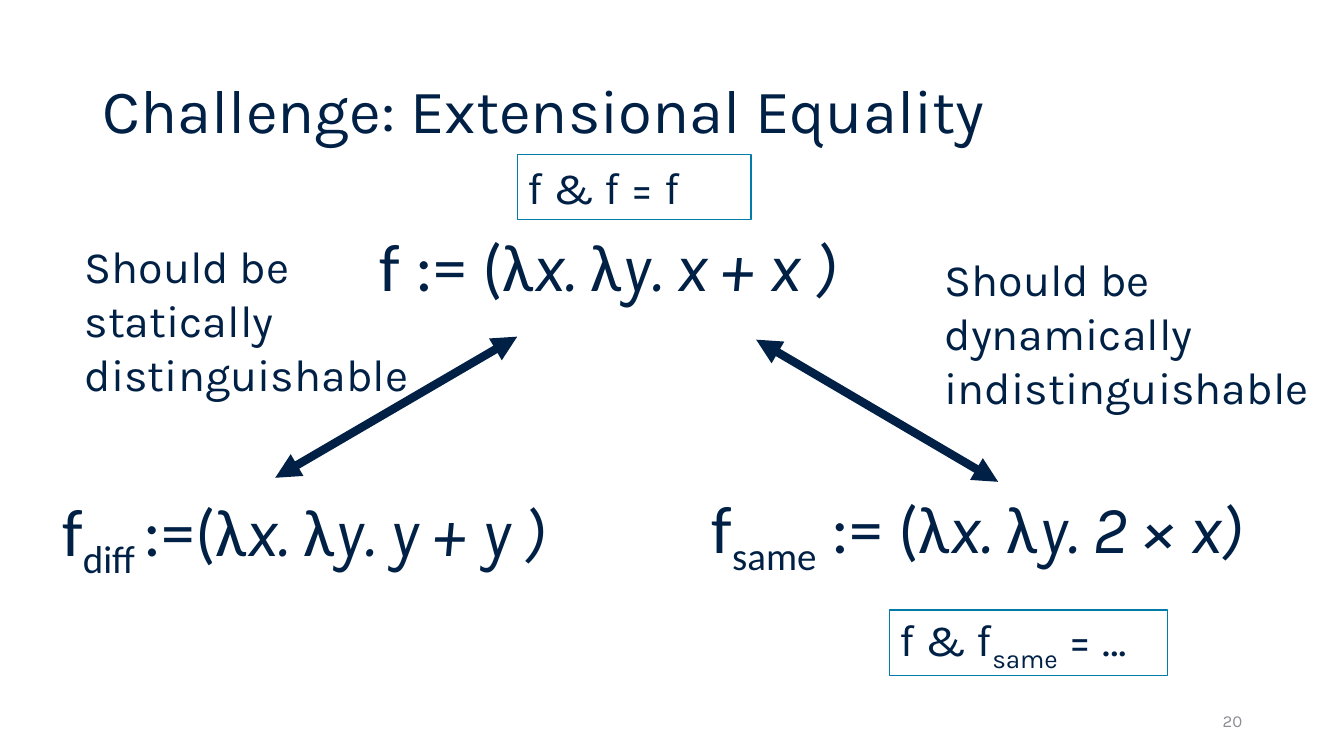
import pptx
import pptx.util
import pptx.dml.color
import pptx.enum.shapes
import pptx.enum.text
import lxml.etree

Inches = pptx.util.Inches
Pt = pptx.util.Pt
ALIGN = pptx.enum.text.PP_ALIGN
ANCHOR = pptx.enum.text.MSO_ANCHOR
NAVY, TEAL, GRAY, WHITE = "002145", "007CA6", "8C8D94", "FFFFFF"


def color(text):
    """Turn a hex string into a colour."""
    return pptx.dml.color.RGBColor.from_string(text)


def style(par, size, font="Karla", tint=NAVY, align=ALIGN.LEFT):
    """Set the font and alignment of a paragraph."""
    par.alignment = align
    par.font.size = Pt(size)
    par.font.name = font
    par.font.color.rgb = color(tint)


def write(par, parts):
    """Add runs given as (text, kind), where kind is "", "sub" or "var"."""
    for text, kind in parts:
        run = par.add_run()
        run.text = text
        if kind == "var":
            run.font.name = "Karla"
            run.font.italic = True
        elif kind == "sub":
            run.font._element.set("baseline", "-25000")


def label(slide, box, parts, size, **look):
    """Place a wrapped text box and return its frame."""
    frame = slide.shapes.add_textbox(*map(Inches, box)).text_frame
    frame.word_wrap = True
    style(frame.paragraphs[0], size, **look)
    write(frame.paragraphs[0], parts)
    return frame


def heading(slide, box, text):
    """Fill and place the title."""
    title = slide.shapes.title
    title.left, title.top, title.width, title.height = map(Inches, box)
    frame = title.text_frame
    frame.vertical_anchor = ANCHOR.MIDDLE
    par = frame.paragraphs[0]
    par.line_spacing = 0.9
    style(par, 44)
    write(par, [(text, "")])


def formula(slide, box, name, body):
    """Place a lambda term after its name."""
    parts = name + [("x.", "var"), (" λ", ""), ("y. " + body, "var")]
    label(slide, box, parts, 48, font="Calibri")


def arrow(slide, start, end):
    """Draw a thick line with a head at both ends."""
    kind = pptx.enum.shapes.MSO_CONNECTOR.STRAIGHT
    line = slide.shapes.add_connector(kind, *map(Inches, start + end))
    line.line.color.rgb = color(NAVY)
    line.line.width = Pt(6)
    space = "{http://schemas.openxmlformats.org/drawingml/2006/main}"
    for tag in ("headEnd", "tailEnd"):
        lxml.etree.SubElement(line.line._get_or_add_ln(), space + tag, type="triangle")
    lxml.etree.SubElement(line._element.spPr, space + "effectLst")


def claim(slide, box, start, end, text):
    """Place a note with the arrow it explains."""
    arrow(slide, start, end)
    label(slide, box, [(text, "")], 32)


def example(slide, box, parts):
    """Place a framed expression."""
    kind = pptx.enum.shapes.MSO_SHAPE.RECTANGLE
    shape = slide.shapes.add_shape(kind, *map(Inches, box))
    shape.shadow.inherit = False
    shape.fill.solid()
    shape.fill.fore_color.rgb = color(WHITE)
    shape.line.color.rgb = color(TEAL)
    shape.line.width = Pt(1)
    frame = shape.text_frame
    frame.vertical_anchor = ANCHOR.MIDDLE
    style(frame.paragraphs[0], 32)
    write(frame.paragraphs[0], parts)
    for run in frame.paragraphs[0].runs:
        run.font.color.rgb = color(NAVY)


def number(slide, box, text):
    """Place the page number."""
    frame = label(slide, box, [(text, "")], 12, tint=GRAY, align=ALIGN.RIGHT)
    frame.vertical_anchor = ANCHOR.MIDDLE


def main():
    """Build and save the slide."""
    deck = pptx.Presentation()
    deck.slide_width, deck.slide_height = Inches(13.33), Inches(7.5)
    slide = deck.slides.add_slide(deck.slide_layouts[5])
    heading(slide, (0.92, 0.4, 11.5, 1.45), "Challenge: Extensional Equality")
    formula(slide, (0.52, 4.81, 5.42, 0.91),
            [("f", ""), ("diff ", "sub"), (":=(λ", "")], "y + y )")
    formula(slide, (3.67, 2.18, 5.29, 0.91), [("f := (λ", "")], "x + x )")
    formula(slide, (6.96, 4.78, 5.85, 0.91),
            [("f", ""), ("same", "sub"), (" := (λ", "")], "2 × x)")
    claim(slide, (0.74, 2.32, 3.98, 1.72), (2.73, 4.74), (5.13, 3.34),
          "Should be statically distinguishable")
    claim(slide, (9.27, 2.45, 3.98, 1.72), (9.9, 4.78), (7.5, 3.37),
          "Should be dynamically indistinguishable")
    example(slide, (5.13, 1.53, 2.32, 0.65), [("f & f = f", "")])
    example(slide, (8.82, 6.05, 2.76, 0.65),
            [("f & f", ""), ("same", "sub"), (" = …", "")])
    number(slide, (9.42, 6.95, 3, 0.4), "20")
    deck.save("out.pptx")


if __name__ == "__main__":
    main()
